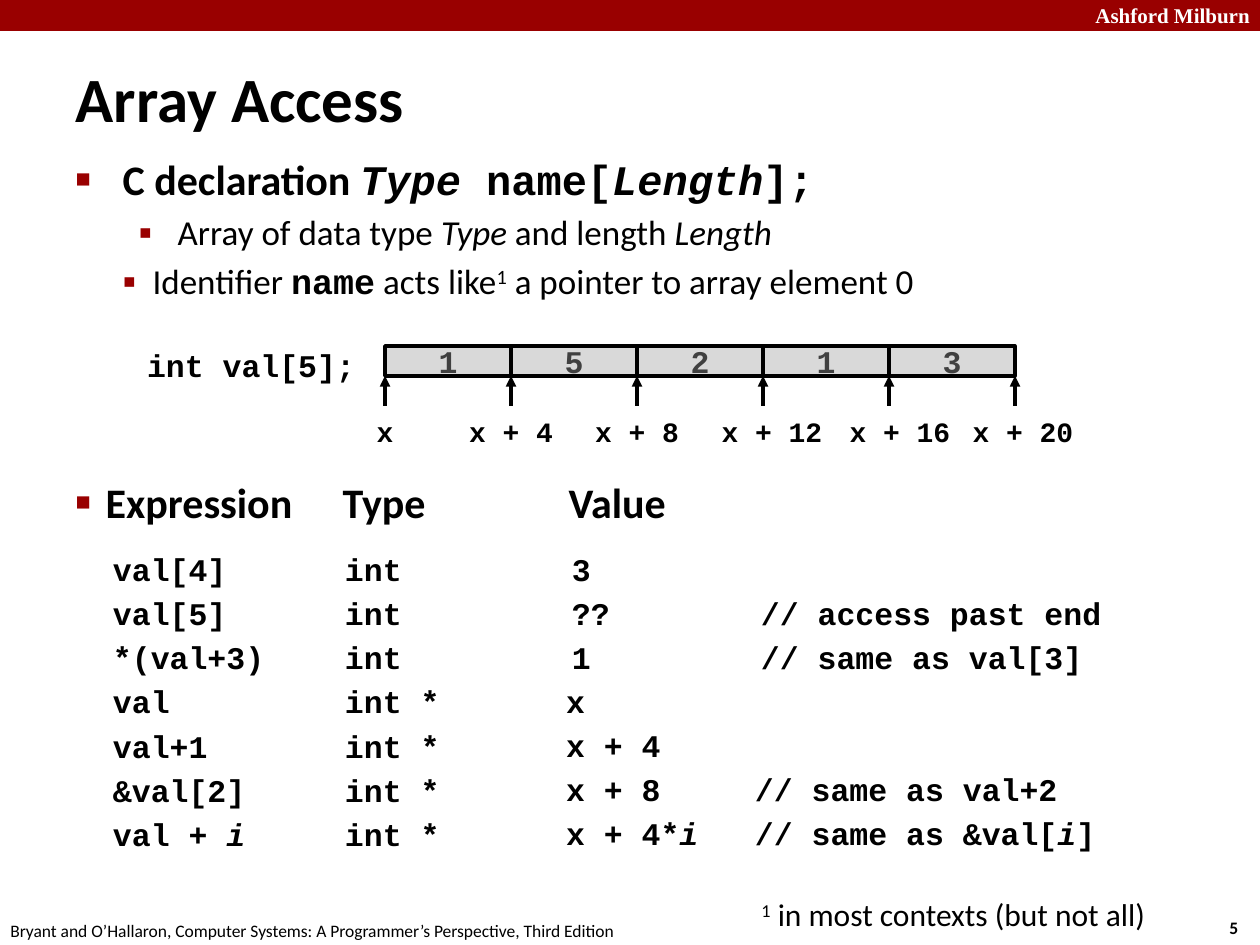
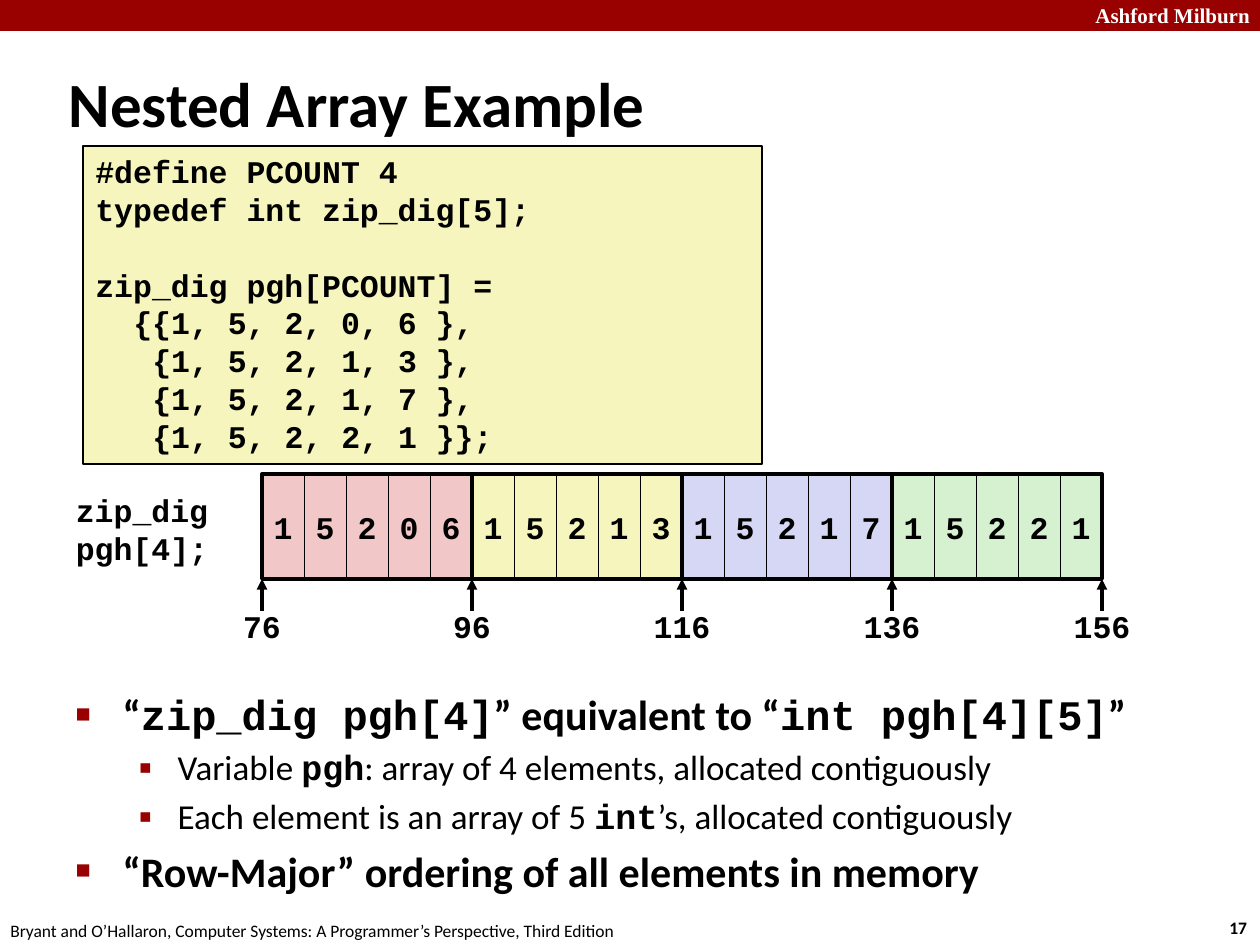
from dataclasses import dataclass, replace
from typing import NamedTuple, Optional

from lxml.etree import SubElement
from pptx import Presentation
from pptx.dml.color import RGBColor as Rgb
from pptx.enum.shapes import MSO_CONNECTOR as Conn, MSO_SHAPE as Shape
from pptx.enum.text import MSO_ANCHOR as Anchor, MSO_AUTO_SIZE as Fit, PP_ALIGN as Align
from pptx.oxml.ns import qn
from pptx.util import Emu, Pt

SCALE = 914400 / 126
SANS, MONO, SERIF = "Calibri", "Courier New", "Times New Roman"
COLORS = {
    "black": "000000", "white": "FFFFFF", "red": "990000",
    "gray": "D9D9D9", "dark": "404040", "pink": "F1C7C7",
    "yellow": "F6F5BD", "blue": "D6D6F5", "green": "D5F1CF",
}


class Box(NamedTuple):
    """Left, top, width and height in pixels."""
    x: float
    y: float
    w: float
    h: float


class Run(NamedTuple):
    """A piece of text with what sets it apart from its paragraph."""
    text: str
    font: Optional[str] = None
    bold: Optional[bool] = None
    italic: Optional[bool] = None
    sup: bool = False


@dataclass(frozen=True)
class Par:
    """A paragraph; lengths in pixels, sizes and spacing in points."""
    runs: tuple
    size: float = 18
    font: str = MONO
    bold: bool = True
    color: str = "black"
    align: Align = Align.LEFT
    before: float = 0
    level: int = 0
    left: float = 0
    hang: float = 0
    bullet: str = ""
    grow: int = 100
    tabs: tuple = ()


def px(n: float) -> Emu:
    """Turn pixels into EMU."""
    return Emu(round(n * SCALE))


def rgb(name: str) -> Rgb:
    """Look up a colour."""
    return Rgb.from_string(COLORS[name])


def head(*runs, **more) -> Par:
    """First-level bullet."""
    base = Par(runs, 24, SANS, before=4.8, left=47, hang=47, bullet="■", grow=60)
    return replace(base, **more)


def sub(*runs, **more) -> Par:
    """Second-level bullet."""
    base = Par(runs, 20, SANS, False, before=4, level=1, left=102, hang=39,
               bullet="▪", grow=110)
    return replace(base, **more)


def write(frame, pars, side: float = 12.6, anchor=Anchor.TOP) -> None:
    """Fill a text frame with paragraphs."""
    frame.word_wrap, frame.auto_size = True, Fit.NONE
    frame.vertical_anchor = anchor
    frame.margin_left = frame.margin_right = px(side)
    frame.margin_top = frame.margin_bottom = px(6.3)
    for i, spec in enumerate(pars):
        par = frame.add_paragraph() if i else frame.paragraphs[0]
        form(par, spec)
        for item in spec.runs:
            item = Run(item) if isinstance(item, str) else item
            run = par.add_run()
            run.text = item.text
            if item.font:
                run.font.name = item.font
            if item.bold is not None:
                run.font.bold = item.bold
            if item.italic:
                run.font.italic = True
            if item.sup:
                run._r.get_or_add_rPr().set("baseline", "30000")


def form(par, spec: Par) -> None:
    """Set indent, bullet, tabs and font of a paragraph."""
    par.level = spec.level
    prop = par._p.get_or_add_pPr()
    prop.set("marL", str(px(spec.left)))
    prop.set("indent", str(px(-spec.hang)))
    if spec.bullet:
        tint = SubElement(prop, qn("a:buClr"))
        SubElement(tint, qn("a:srgbClr"), val=COLORS["red"])
        SubElement(prop, qn("a:buSzPct"), val=str(spec.grow * 1000))
        SubElement(prop, qn("a:buFont"), typeface="Arial")
        SubElement(prop, qn("a:buChar"), char=spec.bullet)
    else:
        SubElement(prop, qn("a:buNone"))
    if spec.tabs:
        stops = SubElement(prop, qn("a:tabLst"))
        for stop in spec.tabs:
            SubElement(stops, qn("a:tab"), pos=str(px(stop)), algn="l")
    par.alignment = spec.align
    par.space_before = Pt(spec.before)
    font = par.font
    font.name, font.size, font.bold = spec.font, Pt(spec.size), spec.bold
    font.color.rgb = rgb(spec.color)


def text(slide, box: Box, *pars, side: float = 12.6) -> None:
    """Add a text box."""
    write(slide.shapes.add_textbox(*map(px, box)).text_frame, pars, side)


def label(slide, mid: float, y: float, w: float, h: float, *lines, size=18) -> None:
    """Add code text centred on a point."""
    pars = [Par((line,), size, align=Align.CENTER) for line in lines]
    text(slide, Box(mid - w / 2, y, w, h), *pars, side=0)


def column(slide, x: float, w: float, first: int, *rows) -> None:
    """Add lines of code on the row grid, from the given row down."""
    pitch = 44
    pars = [Par(row if isinstance(row, tuple) else (row,), before=3.6 if n else 0)
            for n, row in enumerate(rows)]
    text(slide, Box(x, 544 + first * pitch, w, len(rows) * pitch + 13), *pars, side=0)


def rect(slide, box: Box, fill: str = "", line: float = 0):
    """Add a rectangle with an optional fill and black outline."""
    shape = slide.shapes.add_shape(Shape.RECTANGLE, *map(px, box))
    shape.shadow.inherit = False
    if fill:
        shape.fill.solid()
        shape.fill.fore_color.rgb = rgb(fill)
    else:
        shape.fill.background()
    if line:
        shape.line.color.rgb = rgb("black")
        shape.line.width = Pt(line)
    else:
        shape.line.fill.background()
    return shape


def cells(slide, box: Box, digits: str, fill: str, line: float, color="black") -> None:
    """Draw a row of array cells; box is the first one."""
    for i, digit in enumerate(digits):
        cell = rect(slide, box._replace(x=box.x + i * box.w), fill, line)
        par = Par((digit,), color=color, align=Align.CENTER)
        write(cell.text_frame, [par], 0, Anchor.MIDDLE)


def arrow(slide, x: float, low: float, top: float) -> None:
    """Draw an arrow pointing up."""
    line = slide.shapes.add_connector(Conn.STRAIGHT, px(x), px(low), px(x), px(top))
    line.line.color.rgb = rgb("black")
    line.line.width = Pt(2)
    prop = line._element.spPr
    SubElement(prop.find(qn("a:ln")), qn("a:tailEnd"), type="triangle")
    SubElement(prop, qn("a:effectLst"))


def place(shape, box: Box) -> None:
    """Move a placeholder."""
    shape.left, shape.top, shape.width, shape.height = map(px, box)


def start(deck, page: int, title: str, spot: Box, area: Box, *pars):
    """Add a slide with band, footer, title and list."""
    slide = deck.slides.add_slide(deck.slide_layouts[1])
    rect(slide, Box(0, 0, 1260, 31), "red")
    text(slide, Box(1083, -4, 180, 38),
         Par(("Ashford Milburn",), 12, SERIF, color="white"))
    text(slide, Box(1217, 911, 47, 34), Par((str(page),), 10, SANS))
    text(slide, Box(-2, 914, 640, 34),
         Par(("Bryant and O’Hallaron, Computer Systems: "
              "A Programmer’s Perspective, Third Edition",), 10, SANS, False))
    name, body = slide.placeholders
    place(name, spot)
    write(name.text_frame, [Par((title,), 36, SANS, left=16, hang=16)],
          anchor=Anchor.MIDDLE)
    place(body, area)
    write(body.text_frame, pars)
    return slide


def access(deck) -> None:
    """Build the slide on array access."""
    slide = start(
        deck, 5, "Array Access", Box(63, 58, 767, 79), Box(63, 147, 1111, 788),
        head("C declaration ", Run("Type", MONO, italic=True), Run(" name[", MONO),
             Run("Length", MONO, italic=True), Run("];", MONO), before=0),
        sub("Array of data type ", Run("Type", italic=True), " and length ",
            Run("Length", italic=True)),
        sub("Identifier ", Run("name", MONO, True), " acts like", Run("1", sup=True),
            " a pointer to array element 0", left=77, hang=30),
        head("Expression\tType\tValue", left=30, hang=30, before=100,
             tabs=(267, 493)))

    label(slide, 251, 340, 234, 50, "int val[5];")
    x, step = 385, 126
    cells(slide, Box(x, 346, step, 30), "15213", "gray", 2, "dark")
    mids = (385, 511, 637, 772, 900, 1023)
    for n, mid in enumerate(mids):
        arrow(slide, x + n * step, 406, 376)
        label(slide, mid, 408, 136 if n else 54, 47,
              f"x + {4 * n}" if n else "x", size=16)

    i = Run("i", italic=True)
    column(slide, 113, 200, 0, "val[4]", "val[5]", "*(val+3)", "val", "val+1",
           "&val[2]", ("val + ", i))
    column(slide, 345, 150, 0, *["int"] * 3, *["int *"] * 4)
    column(slide, 572, 150, 0, "3", "??", "1")
    column(slide, 566, 170, 3, "x", "x + 4", "x + 8", ("x + 4*", i))
    column(slide, 761, 440, 1, "// access past end", "// same as val[3]")
    column(slide, 755, 440, 5, "// same as val+2", ("// same as &val[", i, "]"))
    text(slide, Box(749, 889, 449, 50),
         Par((Run("1", sup=True), " in most contexts (but not all)"),
             font=SANS, bold=False))


def nested(deck) -> None:
    """Build the slide on nested arrays."""
    slide = start(
        deck, 17, "Nested Array Example", Box(56, 63, 878, 79),
        Box(63, 682, 1102, 262),
        head("“", Run("zip_dig pgh[4]", MONO), "” equivalent to “",
             Run("int pgh[4][5]", MONO), "”", before=0),
        sub("Variable ", Run("pgh", MONO, True),
            ": array of 4 elements, allocated contiguously"),
        sub("Each element is an array of 5 ", Run("int", MONO, True),
            "’s, allocated contiguously"),
        head("“Row-Major” ordering of all elements in memory"))

    rows = {"15206": "pink", "15213": "yellow", "15217": "blue", "15221": "green"}
    last = len(rows) - 1
    code = [Par(("#define PCOUNT 4",)), Par(("typedef int zip_dig[5];",)),
            Par(("zip_dig pgh[PCOUNT] =",), before=21.6)]
    for n, row in enumerate(rows):
        line = ("{" if n else "{{") + ", ".join(row) + " }"
        code.append(Par((line + ("};" if n == last else ","),),
                        left=57 if n else 38))
    block = rect(slide, Box(83, 146, 679, 318), "yellow", 1)
    write(block.text_frame, code)

    label(slide, 142, 485, 158, 88, "zip_dig", "pgh[4];")
    x, y, w, h = 262, 474, 42, 105
    span = 5 * w
    for n, (row, fill) in enumerate(rows.items()):
        cells(slide, Box(x + n * span, y, w, h), row, fill, 0.5)
    for n in range(len(rows)):
        rect(slide, Box(x + n * span, y, span, h), line=2.25)
    for n in range(len(rows) + 1):
        spot = 76 + 20 * n
        arrow(slide, x + n * span, 611, y + h)
        label(slide, x + n * span, 601, 63 if spot < 100 else 82, 50, str(spot))


def main() -> None:
    """Build and save the slides."""
    deck = Presentation()
    deck.slide_width, deck.slide_height = px(1260), px(945)
    access(deck)
    nested(deck)
    deck.save("out.pptx")


main()
